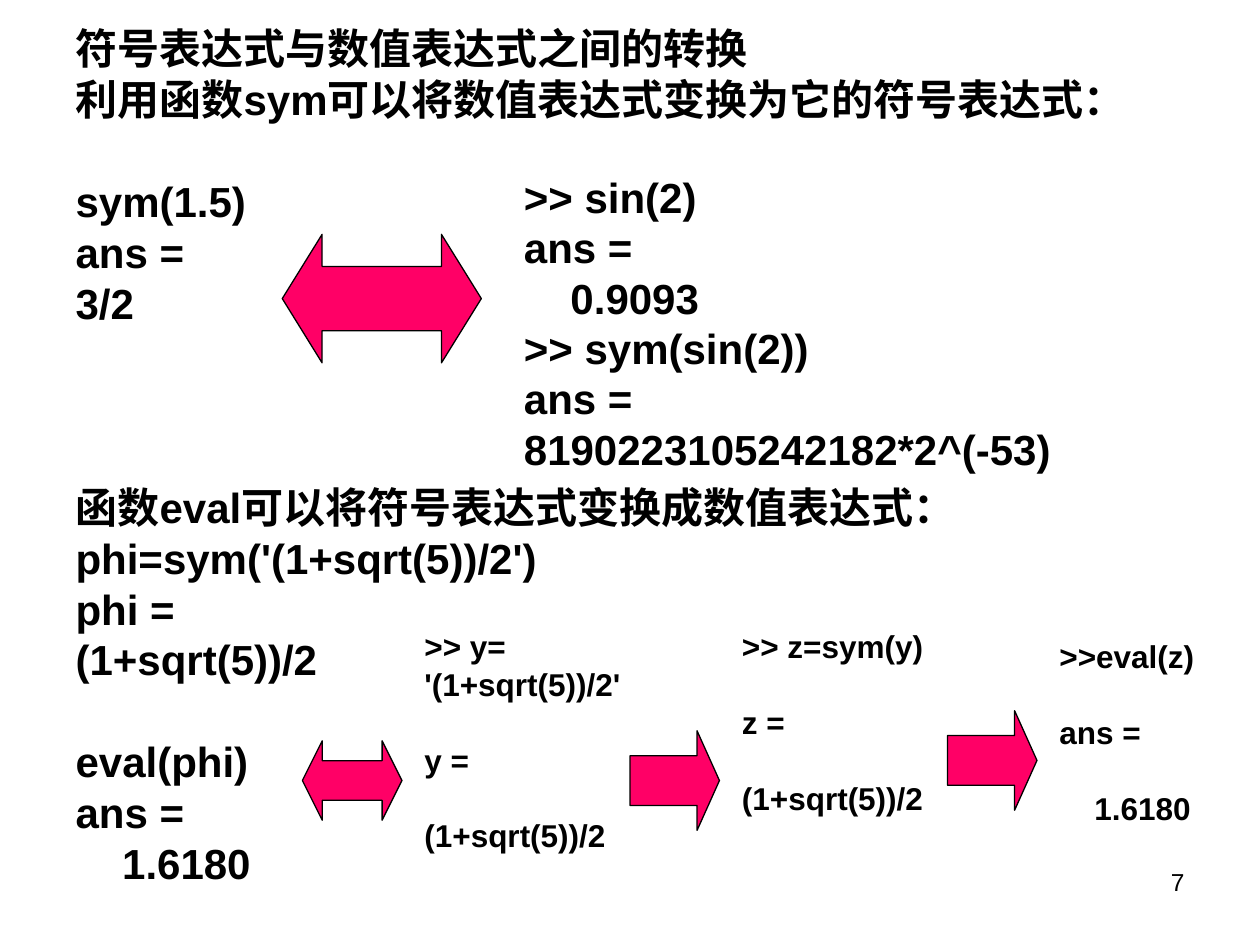
from lxml import etree
from pptx import Presentation
from pptx import util as u
from pptx.dml import color
from pptx.enum import shapes, text
from pptx.oxml import ns

BODY = {
    "place": (0.5, 0.21, 9, 7.09),
    "lines": [
        (0, "符号表达式与数值表达式之间的转换"),
        (0, "利用函数sym可以将数值表达式变换为它的符号表达式："),
        (1, "sym(1.5)"),
        (0, "ans ="),
        (0, "3/2"),
        (3, "函数eval可以将符号表达式变换成数值表达式："),
        (0, "phi=sym('(1+sqrt(5))/2')"),
        (0, "phi ="),
        (0, "(1+sqrt(5))/2"),
        (1, "eval(phi)"),
        (0, "ans ="),
        (0, "    1.6180"),
    ],
}
SINE_EXAMPLE = {
    "place": (4.06, 1.31, 4.65, 2.5),
    "lines": [
        (0, ">> sin(2)"),
        (0, "ans ="),
        (0, "    0.9093"),
        (0, ">> sym(sin(2))"),
        (0, "ans ="),
        (0, "8190223105242182*2^(-53)"),
    ],
}
STEPS = [
    {"place": (3.27, 4.93, 1.81, 1.9),
     "lines": [(0, ">> y= '(1+sqrt(5))/2'"), (1, "y ="), (1, "(1+sqrt(5))/2")]},
    {"place": (5.79, 4.93, 1.81, 1.6),
     "lines": [(0, ">> z=sym(y)"), (1, "z ="), (1, "(1+sqrt(5))/2")]},
    {"place": (8.31, 5.01, 1.5, 1.6),
     "lines": [(0, ">>eval(z)"), (1, "ans ="), (1, "    1.6180")]},
]
PAGE_NUMBER = {"place": (7.17, 6.83, 2.33, 0.52), "lines": [(0, "7")]}

BOTH_WAYS = shapes.MSO_SHAPE.LEFT_RIGHT_ARROW
FORWARD = shapes.MSO_SHAPE.RIGHT_ARROW
ARROWS = [
    (BOTH_WAYS, (2.24, 1.86, 1.58, 1.02), 0.31),
    (BOTH_WAYS, (2.4, 5.88, 0.79, 0.63), 0.25),
    (FORWARD, (5, 5.8, 0.71, 0.79), 0.25),
    (FORWARD, (7.52, 5.64, 0.71, 0.79), 0.25),
]

THEME = {
    "font": "Arial",
    "ink": color.RGBColor.from_string("000000"),
    "arrow": color.RGBColor.from_string("FF0066"),
    "outline": 0.75,
    "large": 24,
    "small": 18,
    "number": 14,
    "leading": 1.2,
    "body_line": 23.1,
    "body_gap": 6,
}


def inches(place):
    return [u.Inches(length) for length in place]


def write_lines(frame, lines, size, line_height=None, gap=0, bold=True,
                align=text.PP_ALIGN.LEFT):
    line_height = line_height or size * THEME["leading"]
    frame.word_wrap = True
    frame.auto_size = text.MSO_AUTO_SIZE.NONE
    frame.vertical_anchor = text.MSO_ANCHOR.TOP
    frame.text = "\n".join(line for _, line in lines)
    for index, (paragraph, (skipped, _)) in enumerate(zip(frame.paragraphs, lines)):
        properties = paragraph._p.get_or_add_pPr()
        properties.set("marL", "0")
        properties.set("indent", "0")
        etree.SubElement(properties, ns.qn("a:buNone"))
        paragraph.alignment = align
        paragraph.line_spacing = u.Pt(line_height)
        before = gap + skipped * (line_height + gap) if index else 0
        paragraph.space_before = u.Pt(before)
        paragraph.space_after = u.Pt(0)
        for run in paragraph.runs:
            run.font.name = THEME["font"]
            run.font.size = u.Pt(size)
            run.font.bold = bold
            run.font.color.rgb = THEME["ink"]


def add_text(slide, block, size, **style):
    box = slide.shapes.add_textbox(*inches(block["place"]))
    write_lines(box.text_frame, block["lines"], size, **style)


def add_arrow(slide, kind, place, head):
    arrow = slide.shapes.add_shape(kind, *inches(place))
    arrow.adjustments[0] = 0.5
    arrow.adjustments[1] = head
    arrow.shadow.inherit = False
    arrow.fill.solid()
    arrow.fill.fore_color.rgb = THEME["arrow"]
    arrow.line.color.rgb = THEME["ink"]
    arrow.line.width = u.Pt(THEME["outline"])


def main():
    presentation = Presentation()
    presentation.slide_width, presentation.slide_height = inches((10, 7.5))
    slide = presentation.slides.add_slide(presentation.slide_layouts[1])
    title = slide.shapes.title.element
    title.getparent().remove(title)

    body = slide.placeholders[1]
    body.left, body.top, body.width, body.height = inches(BODY["place"])
    write_lines(body.text_frame, BODY["lines"], THEME["large"],
                THEME["body_line"], THEME["body_gap"])

    add_text(slide, PAGE_NUMBER, THEME["number"], bold=False,
             align=text.PP_ALIGN.RIGHT)
    add_text(slide, SINE_EXAMPLE, THEME["large"])
    for step in STEPS:
        add_text(slide, step, THEME["small"])
    for arrow in ARROWS:
        add_arrow(slide, *arrow)
    presentation.save("out.pptx")


if __name__ == "__main__":
    main()
